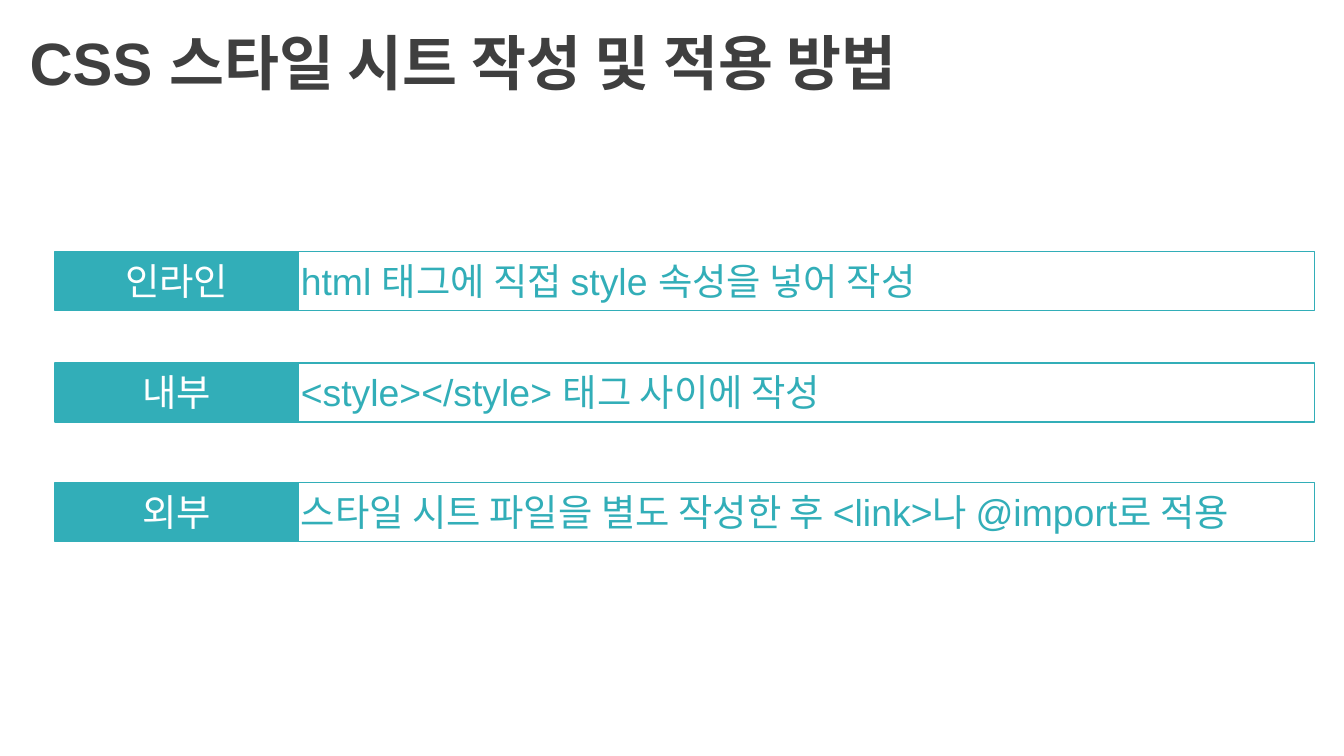
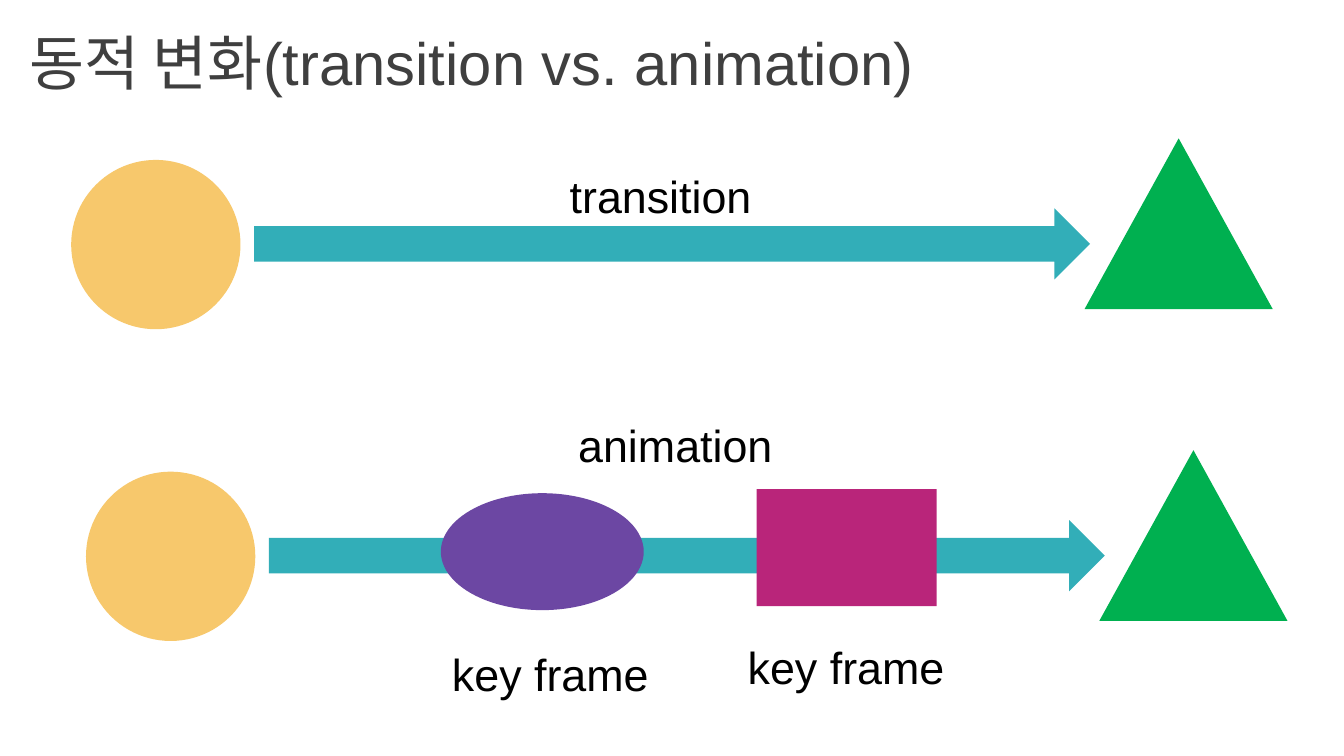
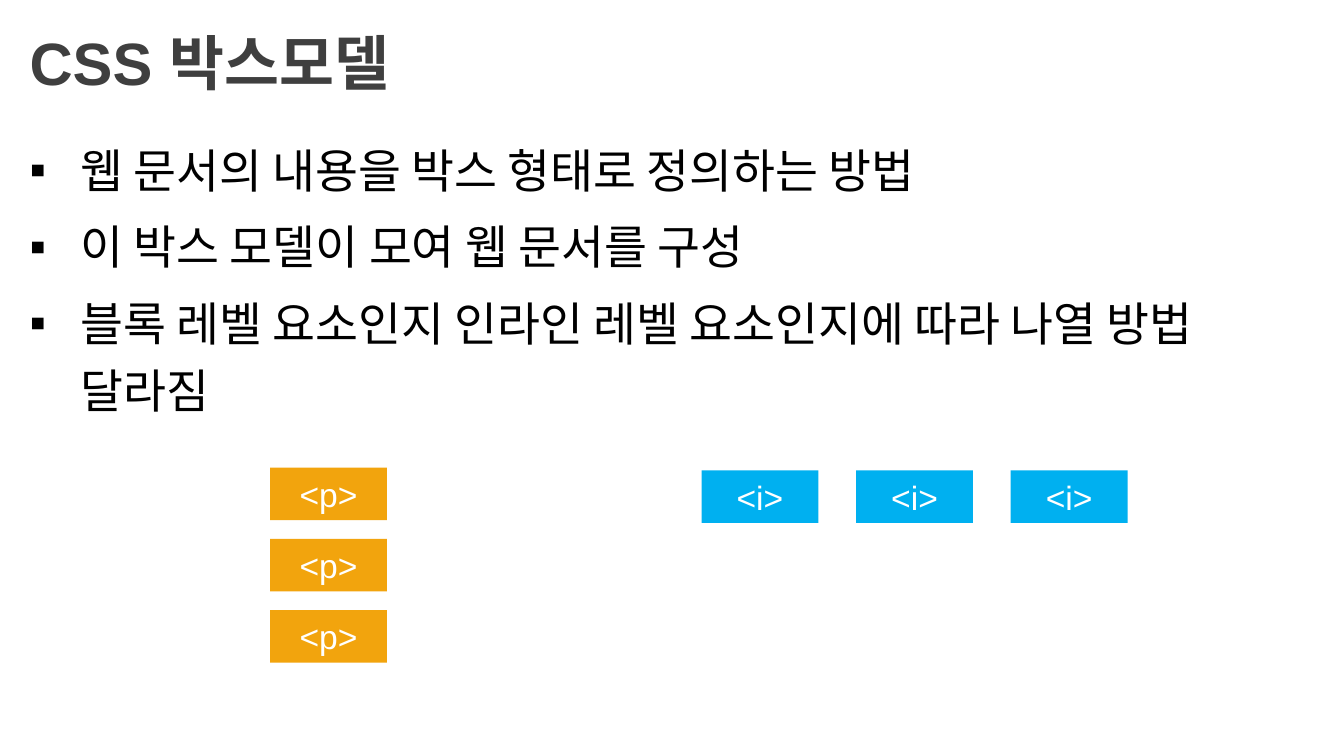
import pptx
import pptx.util
import pptx.dml.color
import pptx.enum.shapes
import pptx.enum.text
import pptx.oxml.ns
import lxml.etree

Inches, Pt = pptx.util.Inches, pptx.util.Pt
SHAPE = pptx.enum.shapes.MSO_SHAPE
ALIGN = pptx.enum.text.PP_ALIGN
ANCHOR = pptx.enum.text.MSO_ANCHOR
AUTO_SIZE = pptx.enum.text.MSO_AUTO_SIZE

FONT = "Arial"
COLORS = {
    "title": "3F3F3F",
    "text": "000000",
    "white": "FFFFFF",
    "teal": "32AEB8",
    "start": "F7C86C",
    "end": "00B050",
    "oval_frame": "6C47A3",
    "box_frame": "B9257A",
    "block": "F2A40D",
    "inline": "00B0F0",
}
TITLE_ONLY, TITLE_AND_BODY = 5, 1
SLIDE_WIDTH = 10
SLIDE_HEIGHT = SLIDE_WIDTH * 9 / 16
TITLE_BOX = (0.12, 0.14, 9.69, 0.63)
BODY_BOX = (0.12, 0.92, 9.69, 4.33)


def rgb(color):
    """Return the colour object for a named colour."""
    return pptx.dml.color.RGBColor.from_string(COLORS[color])


def format_paragraph(paragraph, size, color, align=ALIGN.LEFT, bold=False):
    """Set the font and alignment of one paragraph."""
    paragraph.alignment = align
    paragraph.font.name = FONT
    paragraph.font.size = Pt(size)
    paragraph.font.bold = bold
    paragraph.font.color.rgb = rgb(color)


def place(placeholder, box):
    """Move a placeholder to a box given in inches."""
    placeholder.left, placeholder.top, placeholder.width, placeholder.height = map(Inches, box)
    placeholder.text_frame.auto_size = AUTO_SIZE.NONE


def add_titled_slide(deck, layout, title, bold=False):
    """Add a slide with the shared title style."""
    slide = deck.slides.add_slide(deck.slide_layouts[layout])
    heading = slide.shapes.title
    place(heading, TITLE_BOX)
    heading.text_frame.text = title
    heading.text_frame.vertical_anchor = ANCHOR.MIDDLE
    format_paragraph(heading.text_frame.paragraphs[0], 32, "title", bold=bold)
    return slide


def add_figure(slide, kind, box, fill=None, line=None):
    """Add a flat preset shape with an optional fill and outline."""
    figure = slide.shapes.add_shape(kind, *map(Inches, box))
    figure.shadow.inherit = False
    if fill:
        figure.fill.solid()
        figure.fill.fore_color.rgb = rgb(fill)
    else:
        figure.fill.background()
    if line:
        figure.line.color.rgb = rgb(line)
        figure.line.width = Pt(0.75)
    else:
        figure.line.fill.background()
    return figure


def write(figure, text, size, color, align=ALIGN.CENTER, anchor=ANCHOR.TOP, grow=True):
    """Write one formatted paragraph into a shape or text box."""
    frame = figure.text_frame
    frame.word_wrap = True
    frame.vertical_anchor = anchor
    frame.auto_size = AUTO_SIZE.SHAPE_TO_FIT_TEXT if grow else AUTO_SIZE.NONE
    frame.text = text
    format_paragraph(frame.paragraphs[0], size, color, align)


def add_caption(slide, left, top, text):
    """Add a centred diagram caption."""
    caption = slide.shapes.add_textbox(*map(Inches, (left, top, 1.73, 0.5)))
    write(caption, text, 24, "text")


def add_method_row(slide, left, top, method, description):
    """Add a filled method name beside its outlined description."""
    name_box = add_figure(slide, SHAPE.RECTANGLE, (left, top, 1.81, 0.44), "teal", "teal")
    write(name_box, method, 20, "white")
    detail_box = add_figure(slide, SHAPE.RECTANGLE, (left + 1.73, top, 7.64, 0.44), line="teal")
    write(detail_box, description, 20, "teal", ALIGN.LEFT)


def add_change_lane(slide, left, top, caption, caption_offset):
    """Add an arrow leading from a circle to a triangle."""
    add_figure(slide, SHAPE.RIGHT_ARROW, (left + 1.36, top + 0.52, 6.22, 0.53), "teal")
    add_figure(slide, SHAPE.OVAL, (left, top + 0.16, 1.26, 1.26), "start")
    add_figure(slide, SHAPE.ISOSCELES_TRIANGLE, (left + 7.54, top, 1.4, 1.27), "end")
    add_caption(slide, left + 3.52, top + caption_offset, caption)


def add_key_frame(slide, kind, box, color, label_left, label_top):
    """Add an intermediate state and its label."""
    add_figure(slide, kind, box, color)
    add_caption(slide, label_left, label_top, "key frame")


def add_tag(slide, left, top, tag, color):
    """Add a small box holding a tag."""
    tag_box = add_figure(slide, SHAPE.RECTANGLE, (left, top, 0.87, 0.39), color)
    write(tag_box, tag, 18, "white", anchor=ANCHOR.MIDDLE, grow=False)


def add_square_bullet(paragraph):
    """Give a paragraph a hanging square bullet."""
    properties = paragraph._p.get_or_add_pPr()
    properties.set("marL", str(Inches(0.38)))
    properties.set("indent", str(-Inches(0.38)))
    qn = pptx.oxml.ns.qn
    bullet_color = lxml.etree.SubElement(properties, qn("a:buClr"))
    lxml.etree.SubElement(bullet_color, qn("a:srgbClr"), val=COLORS["text"])
    lxml.etree.SubElement(properties, qn("a:buFont"), typeface=FONT)
    lxml.etree.SubElement(properties, qn("a:buChar"), char="▪")


def fill_body(slide, points):
    """Fill the body placeholder with bulleted points."""
    body = slide.placeholders[1]
    place(body, BODY_BOX)
    body.text_frame.text = "\n".join(points)
    for index, paragraph in enumerate(body.text_frame.paragraphs):
        add_square_bullet(paragraph)
        paragraph.line_spacing = 1.2
        paragraph.space_before = Pt(5 if index else 0)
        format_paragraph(paragraph, 25, "text")


def build_methods_slide(deck):
    """Build the slide on ways to apply style sheets."""
    slide = add_titled_slide(deck, TITLE_ONLY, "CSS 스타일 시트 작성 및 적용 방법", bold=True)
    methods = [
        (1.87, "인라인", "html 태그에 직접 style 속성을 넣어 작성"),
        (2.7, "내부", "<style></style> 태그 사이에 작성"),
        (3.59, "외부", "스타일 시트 파일을 별도 작성한 후 <link>나 @import로 적용"),
    ]
    for top, method, description in methods:
        add_method_row(slide, 0.41, top, method, description)


def build_motion_slide(deck):
    """Build the slide comparing transition and animation."""
    slide = add_titled_slide(deck, TITLE_ONLY, "동적 변화(transition vs. animation)")
    add_change_lane(slide, 0.53, 1.03, "transition", 0.18)
    add_change_lane(slide, 0.64, 3.35, "animation", -0.29)
    add_key_frame(slide, SHAPE.RECTANGLE, (5.63, 3.64, 1.34, 0.87), "box_frame", 5.43, 4.71)
    add_key_frame(slide, SHAPE.OVAL, (3.28, 3.67, 1.51, 0.87), "oval_frame", 3.23, 4.76)


def build_box_model_slide(deck):
    """Build the slide on block and inline boxes."""
    slide = add_titled_slide(deck, TITLE_AND_BODY, "CSS 박스모델", bold=True)
    fill_body(slide, [
        "웹 문서의 내용을 박스 형태로 정의하는 방법",
        "이 박스 모델이 모여 웹 문서를 구성",
        "블록 레벨 요소인지 인라인 레벨 요소인지에 따라 나열 방법 달라짐",
    ])
    for row in range(3):
        add_tag(slide, 2.01, 3.48 + row * 0.53, "<p>", "block")
    for column in range(3):
        add_tag(slide, 5.22 + column * 1.15, 3.5, "<i>", "inline")


def main():
    """Build and save the presentation."""
    deck = pptx.Presentation()
    deck.slide_width, deck.slide_height = Inches(SLIDE_WIDTH), Inches(SLIDE_HEIGHT)
    build_methods_slide(deck)
    build_motion_slide(deck)
    build_box_model_slide(deck)
    deck.save("out.pptx")


if __name__ == "__main__":
    main()
